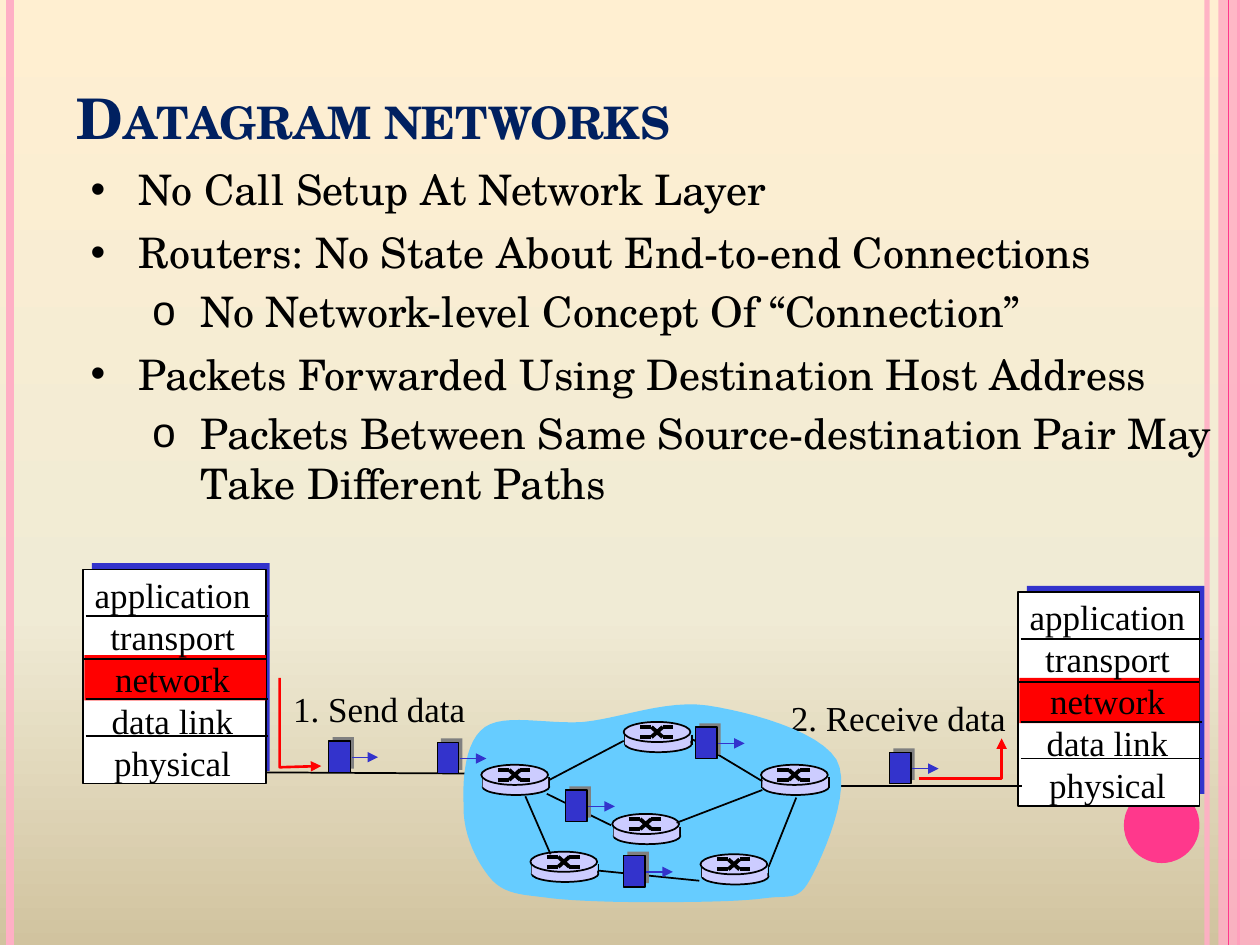
from copy import deepcopy
from dataclasses import dataclass
from lxml.etree import SubElement as Sub
from pptx import Presentation
from pptx.dml.color import RGBColor as RGB
from pptx.enum.shapes import MSO_CONNECTOR as Link, MSO_SHAPE as Kind
from pptx.enum.text import MSO_ANCHOR as Anchor, MSO_AUTO_SIZE as Auto, PP_ALIGN as Align
from pptx.oxml.ns import qn
from pptx.util import Inches, Pt


@dataclass(frozen=True)
class Theme:
    sky: tuple = ((0, "FFEFD1"), (0.65, "F0EBD5"), (1, "D1C39F"))
    pale: str = "FFAFC5"
    pink: str = "FF388C"
    navy: str = "002060"
    ink: str = "000000"
    white: str = "FFFFFF"
    blue: str = "3333CC"
    red: str = "FF0000"
    gray: str = "808080"
    cloud: str = "66CCFF"
    disc: str = "CCCCFF"
    serif: str = "TeX Gyre Schola"
    roman: str = "Times New Roman"
    head: int = 32
    body: int = 24
    label: int = 20


T = Theme()


def fade(shape, alpha):
    for tint in shape.element.iter(qn("a:srgbClr")):
        Sub(tint, qn("a:alpha")).set("val", str(alpha * 1000))


def stroke(shape, color, width, arrow=False):
    shape.line.color.rgb = RGB.from_string(color)
    shape.line.width = Pt(width)
    if arrow:
        Sub(shape.element.spPr.find(qn("a:ln")), qn("a:tailEnd")).set("type", "triangle")


def block(art, kind, box, fill, width=0):
    shape = art.add_shape(kind, *map(Inches, box))
    shape.shadow.inherit = False
    shape.fill.solid()
    shape.fill.fore_color.rgb = RGB.from_string(fill)
    if width:
        stroke(shape, T.ink, width)
    else:
        shape.line.fill.background()
    return shape


def rule(art, start, end, color=T.ink, width=1, arrow=False):
    line = art.add_connector(Link.STRAIGHT, *map(Inches, (*start, *end)))
    stroke(line, color, width, arrow)
    Sub(line.element.spPr, qn("a:effectLst"))
    return line


def trace(art, dots, close=False):
    dots = [(Inches(x), Inches(y)) for x, y in dots]
    pen = art.build_freeform(*dots[0])
    pen.add_line_segments(dots[1:], close=close)
    shape = pen.convert_to_shape()
    shape.shadow.inherit = False
    return shape


def bend(art, dots, color, width, arrow=False):
    shape = trace(art, dots)
    shape.fill.background()
    stroke(shape, color, width, arrow)


def style(para, face, size, color):
    para.font.name = face
    para.font.size = Pt(size)
    para.font.color.rgb = RGB.from_string(color)


def label(art, box, lines, wrap=True):
    frame = art.add_textbox(*map(Inches, box)).text_frame
    frame.word_wrap = wrap
    frame.text = "\n".join(lines)
    for para in frame.paragraphs:
        para.alignment = Align.CENTER
        para.line_spacing = Pt(24)
        style(para, T.roman, T.label, T.ink)


def place(shape, box):
    shape.left, shape.top, shape.width, shape.height = map(Inches, box)
    shape.element.getparent().append(shape.element)
    frame = shape.text_frame
    frame.word_wrap = True
    frame.auto_size = Auto.NONE
    return frame


def backdrop(slide):
    fill = slide.background.fill
    fill.gradient()
    fill.gradient_angle = 270
    stops = slide.element.find(".//" + qn("a:gsLst"))
    stops.append(deepcopy(stops[0]))
    for stop, (spot, color) in zip(fill.gradient_stops, T.sky):
        stop.position = spot
        stop.color.rgb = RGB.from_string(color)


def rails(art, high):
    def rail(x, color, width):
        return rule(art, (x, 0), (x, high), color, width)

    fade(rail(9.58, T.pale, 3), 93)
    rail(0.08, T.pale, 4.5)
    rail(9.83, T.pink, 1.5)
    fade(block(art, Kind.RECTANGLE, (9.67, 0, 0.33, high), T.pale), 87)
    rail(9.75, T.pink, 0.75)
    block(art, Kind.OVAL, (8.92, 6.25, 0.6, 0.6), T.pink)


def title(shape, box, text):
    frame = place(shape, box)
    frame.vertical_anchor = Anchor.BOTTOM
    frame.text = text
    para = frame.paragraphs[0]
    para.alignment = Align.LEFT
    style(para, T.serif, T.head, T.navy)
    para.font.bold = True
    para.runs[0].font.element.set("cap", "small") if hasattr(para.runs[0].font, "element") \
        else para.runs[0]._r.get_or_add_rPr().set("cap", "small")


def points(shape, box, items):
    frame = place(shape, box)
    frame.text = "\n".join(text for _, text in items)
    for i, (para, (level, _)) in enumerate(zip(frame.paragraphs, items)):
        para.level = level
        props = para._p.get_or_add_pPr()
        props.set("marL", str(Inches((0.38, 0.87)[level])))
        props.set("indent", str(Inches(-0.38)))
        para.space_before = Pt((7, 5)[level] if i else 0)
        Sub(props, qn("a:buChar")).set("char", "•o"[level])
        style(para, T.serif, T.body, T.ink)


def stack(art, box):
    x, y, w, h = box
    art = art.add_group_shape().shapes
    block(art, Kind.RECTANGLE, (x + 0.07, y - 0.05, 1.41, 1.65), T.blue)
    block(art, Kind.RECTANGLE, box, T.white, 1)
    block(art, Kind.RECTANGLE, (x + 0.01, y + 0.68, w - 0.01, 0.36), T.red)
    label(art, (x - 0.14, y - 0.02, 1.7, 1.77),
          ("application", "transport", "network", "data link", "physical"))
    for dx, dy in ((0.02, 0.37), (0, 0.71), (0.02, 1.03), (0.02, 1.32)):
        rule(art, (x + dx, y + dy), (x + dx + w, y + dy))


def packet(art, x, y):
    art = art.add_group_shape().shapes
    block(art, Kind.RECTANGLE, (x + 0.03, y - 0.03, 0.17, 0.25), T.gray)
    block(art, Kind.RECTANGLE, (x, y, 0.17, 0.25), T.blue, 0.75)
    rule(art, (x + 0.18, y + 0.13), (x + 0.39, y + 0.13), T.blue, 0.75, True)


def router(art, x, y):
    art = art.add_group_shape().shapes
    block(art, Kind.OVAL, (x + 0.01, y + 0.11, 0.53, 0.13), T.disc, 1)
    for dx in (0.01, 0.54):
        rule(art, (x + dx, y + 0.1), (x + dx, y + 0.18))
    block(art, Kind.RECTANGLE, (x + 0.01, y + 0.1, 0.52, 0.08), T.disc)
    block(art, Kind.OVAL, (x, y, 0.53, 0.16), T.disc, 1)
    for near, far in ((0.04, 0.12), (0.12, 0.04)):
        dots = [(x + dx, y + dy) for dx, dy in
                ((0.13, near), (0.22, near), (0.31, far), (0.39, far))]
        for start, end in zip(dots, dots[1:]):
            rule(art, start, end, width=2.25)


def curve(start, arcs, steps=12):
    dots = [start]
    for arc in arcs:
        a, b, c, d = dots[-1], arc[:2], arc[2:4], arc[4:]
        for t in (i / steps for i in range(1, steps + 1)):
            u = 1 - t
            dots.append(tuple(u**3 * p + 3 * u * u * t * q + 3 * u * t * t * r + t**3 * s
                              for p, q, r, s in zip(a, b, c, d)))
    return dots


def cloud(art, x, y):
    art = art.add_group_shape().shapes
    arcs = ((0, 0.63, 0.02, 0.33, 0.18, 0.22), (0.34, 0.11, 0.67, 0.2, 0.96, 0.18),
            (1.26, 0.15, 1.62, 0, 1.95, 0.05), (2.28, 0.1, 2.83, 0.25, 2.97, 0.48),
            (3.1, 0.71, 2.86, 1.25, 2.76, 1.43), (2.66, 1.61, 2.6, 1.55, 2.39, 1.58),
            (2.17, 1.61, 1.73, 1.61, 1.45, 1.61), (1.17, 1.61, 0.91, 1.6, 0.71, 1.58),
            (0.51, 1.55, 0.36, 1.56, 0.24, 1.44), (0.13, 1.32, 0, 1.08, 0.01, 0.84))
    shape = trace(art, [(x + dx, y + dy) for dx, dy in curve((0.01, 0.84), arcs)], True)
    shape.fill.solid()
    shape.fill.fore_color.rgb = RGB.from_string(T.cloud)
    shape.line.fill.background()
    for dx, dy in ((0.15, 0.52), (0.54, 1.21), (1.28, 0.18), (1.19, 0.91), (1.89, 1.23), (2.37, 0.52)):
        router(art, x + dx, y + dy)
    for a, b, c, d in ((0.69, 0.64, 1.28, 0.33), (1.83, 0.32, 2.38, 0.65), (0.67, 0.75, 1.18, 1),
                       (1.7, 0.98, 2.38, 0.72), (2.43, 1.33, 2.65, 0.78),
                       (1.88, 1.44, 1.08, 1.36), (0.7, 1.23, 0.5, 0.77)):
        rule(art, (x + a, y + b), (x + c, y + d))
    for dx, dy in ((-0.2, 0.34), (1.85, 0.22), (1.28, 1.24), (0.82, 0.72)):
        packet(art, x + dx, y + dy)


def main():
    deck = Presentation()
    deck.slide_width, deck.slide_height = Inches(10), Inches(7.5)
    slide = deck.slides.add_slide(deck.slide_layouts[1])
    art = slide.shapes
    backdrop(slide)
    rails(art, 7.5)
    title(art.title, (0.51, 0.58, 8.74, 0.67), "Datagram networks")
    points(slide.placeholders[1], (0.62, 1.25, 9.15, 2.67), (
        (0, "No Call Setup At Network Layer"),
        (0, "Routers: No State About End-to-end Connections"),
        (1, "No Network-level Concept Of “Connection”"),
        (0, "Packets Forwarded Using Destination Host Address"),
        (1, "Packets Between Same Source-destination Pair May Take Different Paths")))
    rule(art, (2.1, 6.13), (3.83, 6.14))
    stack(art, (0.66, 4.52, 1.45, 1.7))
    stack(art, (8.08, 4.7, 1.44, 1.7))
    rule(art, (8.11, 6.24), (6.56, 6.24))
    label(art, (2.22, 5.41, 1.58, 0.44), ["1. Send data"], False)
    label(art, (6.17, 5.48, 1.92, 0.44), ["2. Receive data"], False)
    bend(art, ((2.22, 5.38), (2.22, 6.09), (2.55, 6.08)), T.red, 1.5, True)
    bend(art, ((7.29, 6.18), (7.95, 6.18), (7.95, 5.86)), T.red, 1.5, True)
    packet(art, 2.61, 5.88)
    cloud(art, 3.67, 5.55)
    packet(art, 7.06, 5.97)
    deck.save("out.pptx")


if __name__ == "__main__":
    main()
